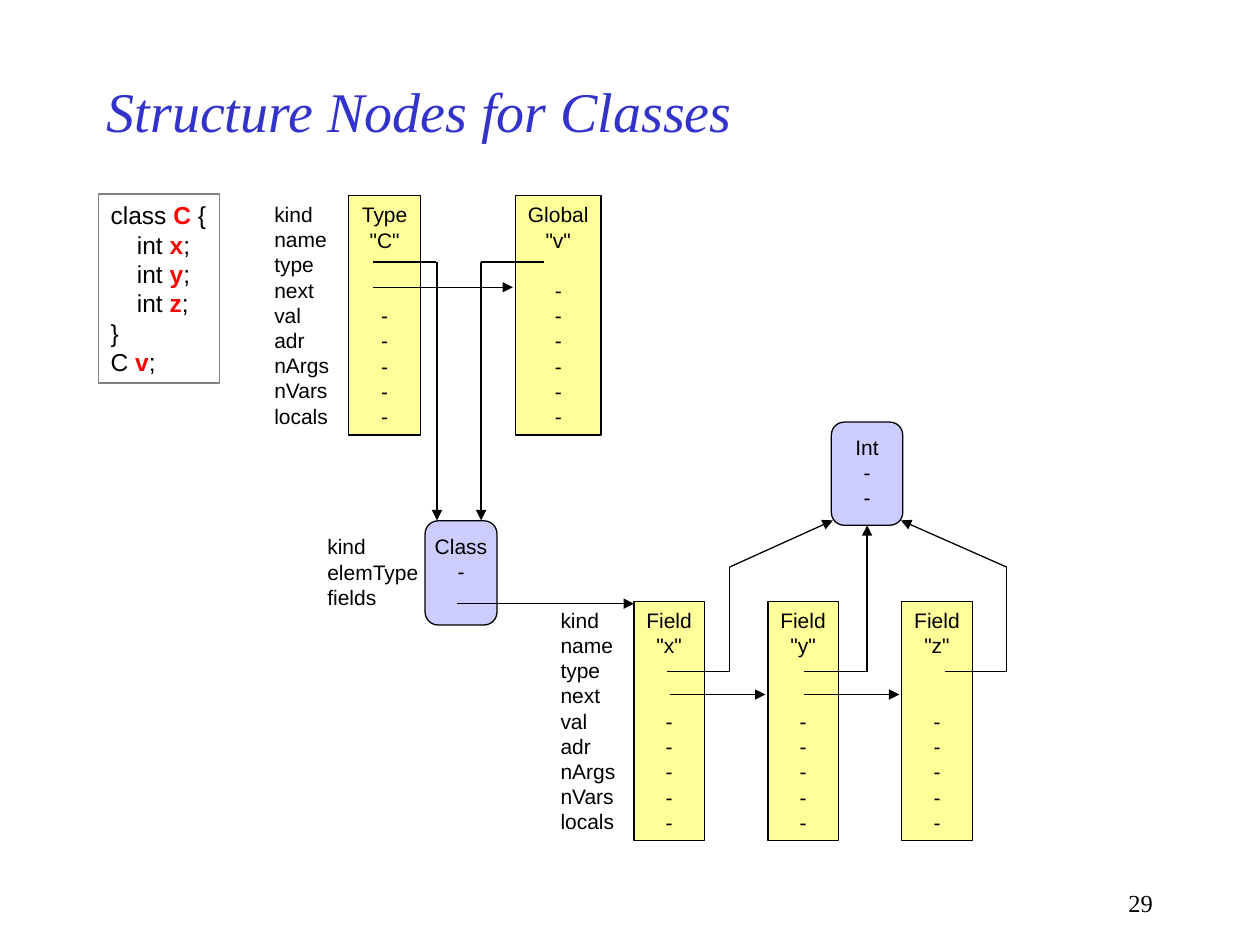
from dataclasses import dataclass

from lxml import etree
from pptx import Presentation
from pptx.dml.color import RGBColor
from pptx.enum.shapes import MSO_CONNECTOR, MSO_SHAPE
from pptx.enum.text import MSO_ANCHOR, MSO_AUTO_SIZE, PP_ALIGN
from pptx.oxml.ns import qn
from pptx.util import Cm, Pt

RECTANGLE, ROUNDED = MSO_SHAPE.RECTANGLE, MSO_SHAPE.ROUNDED_RECTANGLE
STRAIGHT = MSO_CONNECTOR.STRAIGHT
TOP, MIDDLE = MSO_ANCHOR.TOP, MSO_ANCHOR.MIDDLE
FIT_TEXT = MSO_AUTO_SIZE.SHAPE_TO_FIT_TEXT
LEFT, CENTER, RIGHT = PP_ALIGN.LEFT, PP_ALIGN.CENTER, PP_ALIGN.RIGHT
BOTTOM_SIDE = 2

BLACK, GRAY, RED, BLUE = "000000", "808080", "FF0000", "3333CC"
YELLOW, LAVENDER = "FFFF99", "CCCCFF"
SANS, SERIF = "Arial", "Times New Roman"
LINE_WIDTH = Pt(0.75)
LEADING = 1.2

SYMBOL_TOP, SYMBOL_HEIGHT, LABEL_WIDTH = 3.94, 4.83, 1.72
FIELD_TOP, FIELD_LEFT, FIELD_PITCH, FIELD_WIDTH = 12.12, 12.78, 2.7, 1.42
SYMBOL_LABELS = ["kind", "name", "type", "next", "val", "adr", "nArgs", "nVars", "locals"]
STRUCT_LABELS = ["kind", "elemType", "fields"]


@dataclass
class Node:
    """A box with one text row per field; an empty row holds a pointer."""
    left: float
    top: float
    width: float
    height: float
    rows: list[str]
    fill: str = YELLOW
    shape: int = RECTANGLE
    margin_top: float = 0.13


@dataclass
class Line:
    """A straight line, with an arrowhead at its end if asked for."""
    x1: float
    y1: float
    x2: float
    y2: float
    arrow: bool = False


def color(value: str) -> RGBColor:
    return RGBColor.from_string(value)


def format_font(font, size: float, name: str = SANS, shade: str = BLACK) -> None:
    font.size, font.name = Pt(size), name
    font.color.rgb = color(shade)


def format_paragraph(para, size: float, align=LEFT) -> None:
    format_font(para.font, size)
    para.alignment = align
    para.line_spacing = Pt(size * LEADING)


def paragraph_at(frame, index: int):
    return frame.paragraphs[0] if index == 0 else frame.add_paragraph()


def write_rows(frame, rows: list[str], align) -> None:
    """Write the rows, turning empty ones into space above the next."""
    frame.word_wrap = False
    frame.vertical_anchor = TOP
    written = skipped = 0
    for row in rows:
        if not row:
            skipped += 1
            continue
        para = paragraph_at(frame, written)
        para.text = row
        format_paragraph(para, 12, align)
        para.space_before = Pt(12 * LEADING * skipped)
        written, skipped = written + 1, 0


def add_labels(slide, left: float, top: float, width: float, height: float,
               labels: list[str]) -> None:
    box = slide.shapes.add_textbox(Cm(left), Cm(top), Cm(width), Cm(height))
    write_rows(box.text_frame, labels, LEFT)
    box.text_frame.auto_size = FIT_TEXT


def add_node(slide, node: Node):
    box = slide.shapes.add_shape(node.shape, Cm(node.left), Cm(node.top),
                                 Cm(node.width), Cm(node.height))
    box.shadow.inherit = False
    box.fill.solid()
    box.fill.fore_color.rgb = color(node.fill)
    box.line.color.rgb = color(BLACK)
    box.line.width = LINE_WIDTH
    if node.shape == ROUNDED:
        box.adjustments[0] = 0.18
    box.text_frame.margin_top = Cm(node.margin_top)
    write_rows(box.text_frame, node.rows, CENTER)
    return box


def add_line(slide, line: Line):
    connector = slide.shapes.add_connector(STRAIGHT, Cm(line.x1), Cm(line.y1),
                                           Cm(line.x2), Cm(line.y2))
    connector.line.color.rgb = color(BLACK)
    connector.line.width = LINE_WIDTH
    if line.arrow:
        etree.SubElement(connector.line._get_or_add_ln(), qn("a:tailEnd"), type="triangle")
    etree.SubElement(connector._element.spPr, qn("a:effectLst"))
    return connector


def add_code(slide) -> None:
    """Draw the class declaration, with the declared names in bold red."""
    code = [("class ", "C", " {"), ("int ", "x", ";"), ("int ", "y", ";"),
            ("int ", "z", ";"), ("}", "", ""), ("C ", "v", ";")]
    box = slide.shapes.add_shape(RECTANGLE, Cm(1.98), Cm(3.91), Cm(2.44), Cm(3.81))
    box.shadow.inherit = False
    box.fill.background()
    box.line.color.rgb = color(GRAY)
    box.line.width = LINE_WIDTH
    frame = box.text_frame
    frame.word_wrap = False
    frame.vertical_anchor = TOP
    for index, (before, name, after) in enumerate(code):
        para = paragraph_at(frame, index)
        format_paragraph(para, 14)
        if before == "int ":
            para._p.get_or_add_pPr().set("marL", str(Cm(0.53)))
        for text in filter(None, (before, name, after)):
            span = para.add_run()
            span.text = text
            format_font(span.font, 14, shade=RED if text == name else BLACK)
            span.font.bold = text == name


def main() -> None:
    deck = Presentation()
    deck.slide_width, deck.slide_height = Cm(25.4), Cm(19.05)
    slide = deck.slides.add_slide(deck.slide_layouts[5])

    # Title
    title = slide.shapes.title
    title.left, title.top, title.width, title.height = Cm(1.9), Cm(1.27), Cm(19.05), Cm(1.9)
    title.text_frame.text = "Structure Nodes for Classes"
    title.text_frame.vertical_anchor = MIDDLE
    heading = title.text_frame.paragraphs[0]
    heading.alignment = LEFT
    format_font(heading.font, 32, SERIF, BLUE)
    heading.font.italic = True

    # Declaration and row labels
    add_code(slide)
    add_labels(slide, 5.28, SYMBOL_TOP, LABEL_WIDTH, SYMBOL_HEIGHT, SYMBOL_LABELS)
    add_labels(slide, 11.05, FIELD_TOP, LABEL_WIDTH, SYMBOL_HEIGHT, SYMBOL_LABELS)
    add_labels(slide, 6.35, 10.64, 2.4, 1.78, STRUCT_LABELS)

    # Symbol nodes and structure nodes
    field_lefts = [FIELD_LEFT + index * FIELD_PITCH for index in range(3)]
    nodes = [
        Node(7.03, SYMBOL_TOP, 1.45, SYMBOL_HEIGHT, ["Type", '"C"', "", ""] + ["-"] * 5),
        Node(10.39, SYMBOL_TOP, 1.73, SYMBOL_HEIGHT, ["Global", '"v"', ""] + ["-"] * 6),
        Node(8.57, 10.5, 1.45, 2.1, ["Class", "-"], LAVENDER, ROUNDED, 0.18),
    ]
    nodes += [Node(left, FIELD_TOP, FIELD_WIDTH, SYMBOL_HEIGHT,
                   ["Field", f'"{name}"', "", ""] + ["-"] * 5)
              for left, name in zip(field_lefts, "xyz")]
    for node in nodes:
        add_node(slide, node)
    int_box = add_node(slide, Node(16.76, 8.51, 1.44, 2.08, ["Int", "-", "-"],
                                   LAVENDER, ROUNDED, 0.17))

    # Pointers between the symbols and the class structure
    lines = [
        Line(7.52, 5.28, 8.79, 5.28),
        Line(8.81, 5.28, 8.81, 10.49, True),
        Line(7.52, 5.79, 10.34, 5.79, True),
        Line(9.7, 5.28, 10.97, 5.28),
        Line(9.7, 5.28, 9.7, 10.49, True),
        Line(9.22, 12.17, 12.78, 12.17, True),
    ]

    # Next pointers from field to field
    lines += [Line(left + 0.72, 14, following - 0.05, 14, True)
              for left, following in zip(field_lefts, field_lefts[1:])]

    # Type pointers from the fields to Int
    type_y, bend_y = 13.54, 11.43
    lines += [Line(start, type_y, end, type_y)
              for start, end in ((13.44, 14.71), (16.21, 17.48), (19.05, 20.29))]
    for x, corner in ((14.71, 16.79), (20.29, 18.16)):
        lines += [Line(x, type_y, x, bend_y), Line(x, bend_y, corner, 10.49, True)]
    for line in lines:
        add_line(slide, line)
    middle = add_line(slide, Line(17.48, type_y, 17.48, 10.59, True))
    middle.end_connect(int_box, BOTTOM_SIDE)

    # Page number
    box = slide.shapes.add_textbox(Cm(18.21), Cm(17.78), Cm(5.28), Cm(0.84))
    box.text_frame.word_wrap = True
    number = box.text_frame.paragraphs[0]
    number.text = "29"
    number.alignment = RIGHT
    format_font(number.font, 14, SERIF)

    deck.save("out.pptx")


if __name__ == "__main__":
    main()
